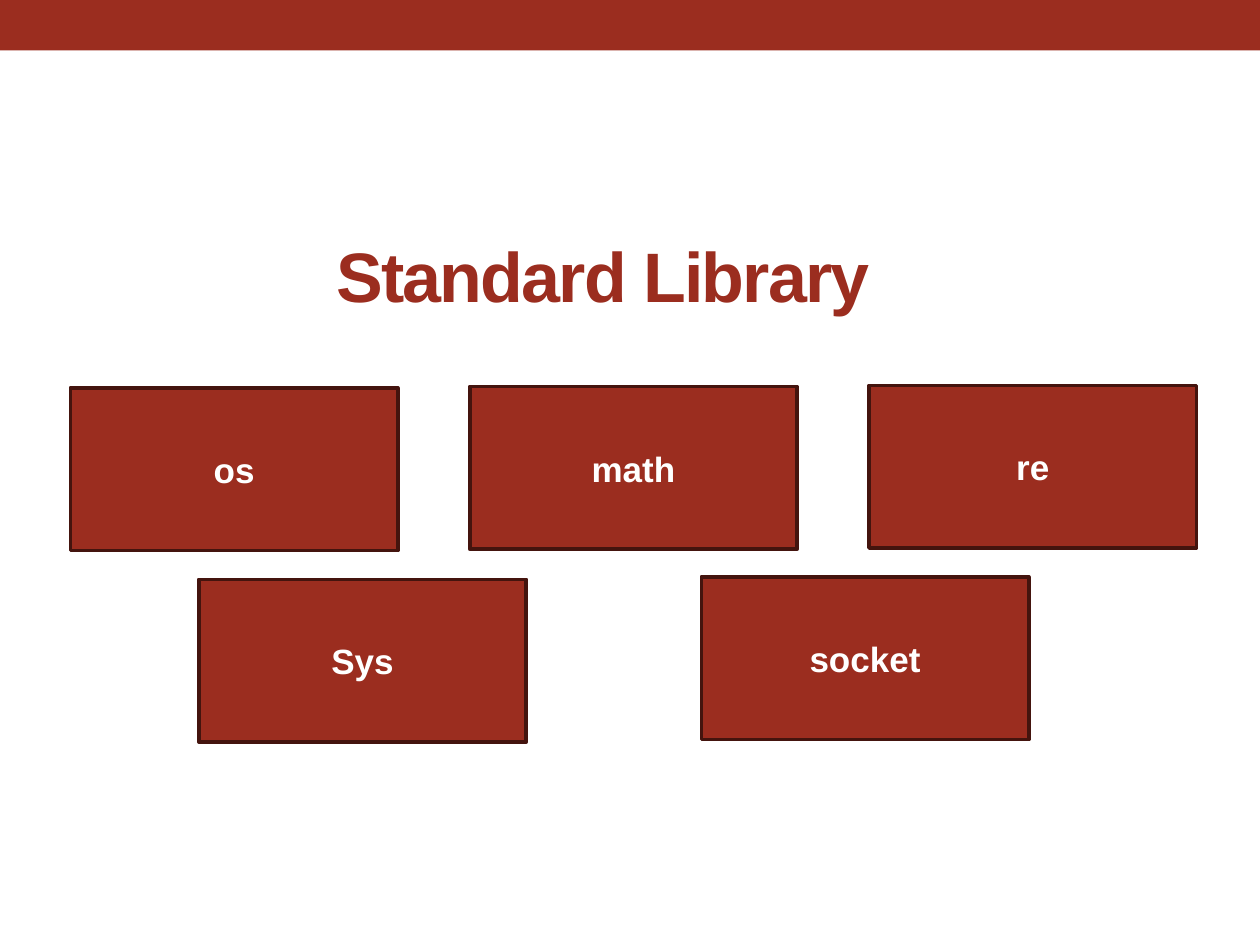
from pptx import Presentation
from pptx.dml.color import RGBColor
from pptx.enum.shapes import MSO_SHAPE
from pptx.enum.text import MSO_ANCHOR, PP_ALIGN
from pptx.util import Cm, Pt

RECTANGLE = MSO_SHAPE.RECTANGLE
MIDDLE = MSO_ANCHOR.MIDDLE
LEFT, CENTER = PP_ALIGN.LEFT, PP_ALIGN.CENTER

COLORS = {"brick": "9B2D1F", "outline": "44140E", "white": "FFFFFF"}
BOX_WIDTH, BOX_HEIGHT = 6.6, 3.28
MODULE_ROWS = [
    {"names": ["os", "math", "re"], "left": 1.42, "top": 7.82, "pitch": 8.05, "rise": 0.025},
    {"names": ["Sys", "socket"], "left": 4.01, "top": 11.68, "pitch": 10.13, "rise": 0.05},
]


def color(name):
    """Return the named colour."""
    return RGBColor.from_string(COLORS[name])


def write_text(shape, text, size, color_name, alignment):
    """Write one bold, vertically centred line and return its run."""
    frame = shape.text_frame
    frame.word_wrap = True
    frame.vertical_anchor = MIDDLE
    paragraph = frame.paragraphs[0]
    paragraph.alignment = alignment
    run = paragraph.add_run()
    run.text = text
    font_format = {"name": "Arial", "size": Pt(size), "bold": True}
    for attribute, value in font_format.items():
        setattr(run.font, attribute, value)
    run.font.color.rgb = color(color_name)
    return run


def add_rectangle(slide, left, top, width, height):
    """Add a flat brick rectangle without an outline."""
    shape = slide.shapes.add_shape(RECTANGLE, Cm(left), Cm(top), Cm(width), Cm(height))
    shape.shadow.inherit = False
    shape.fill.solid()
    shape.fill.fore_color.rgb = color("brick")
    shape.line.fill.background()
    return shape


def add_title(slide, text):
    """Add the title with slightly tightened letters."""
    title = slide.shapes.add_textbox(Cm(6.53), Cm(4.01), Cm(23.04), Cm(3.05))
    run = write_text(title, text, 40, "brick", LEFT)
    run._r.get_or_add_rPr().set("spc", "-100")


def add_module_row(slide, names, left, top, pitch, rise):
    """Add an evenly spaced, slightly rising row of module boxes."""
    for index, name in enumerate(names):
        box = add_rectangle(
            slide, left + index * pitch, top - index * rise, BOX_WIDTH, BOX_HEIGHT
        )
        box.line.color.rgb = color("outline")
        box.line.width = Pt(2.08)
        write_text(box, name, 20, "white", CENTER)


def main():
    """Build and save the standard library slide."""
    presentation = Presentation()
    presentation.slide_width, presentation.slide_height = Cm(25.4), Cm(19.05)
    slide = presentation.slides.add_slide(presentation.slide_layouts[6])
    add_rectangle(slide, 0, 0, 25.4, 1.02)
    add_title(slide, "Standard Library")
    for row in MODULE_ROWS:
        add_module_row(slide, **row)
    presentation.save("out.pptx")


if __name__ == "__main__":
    main()
